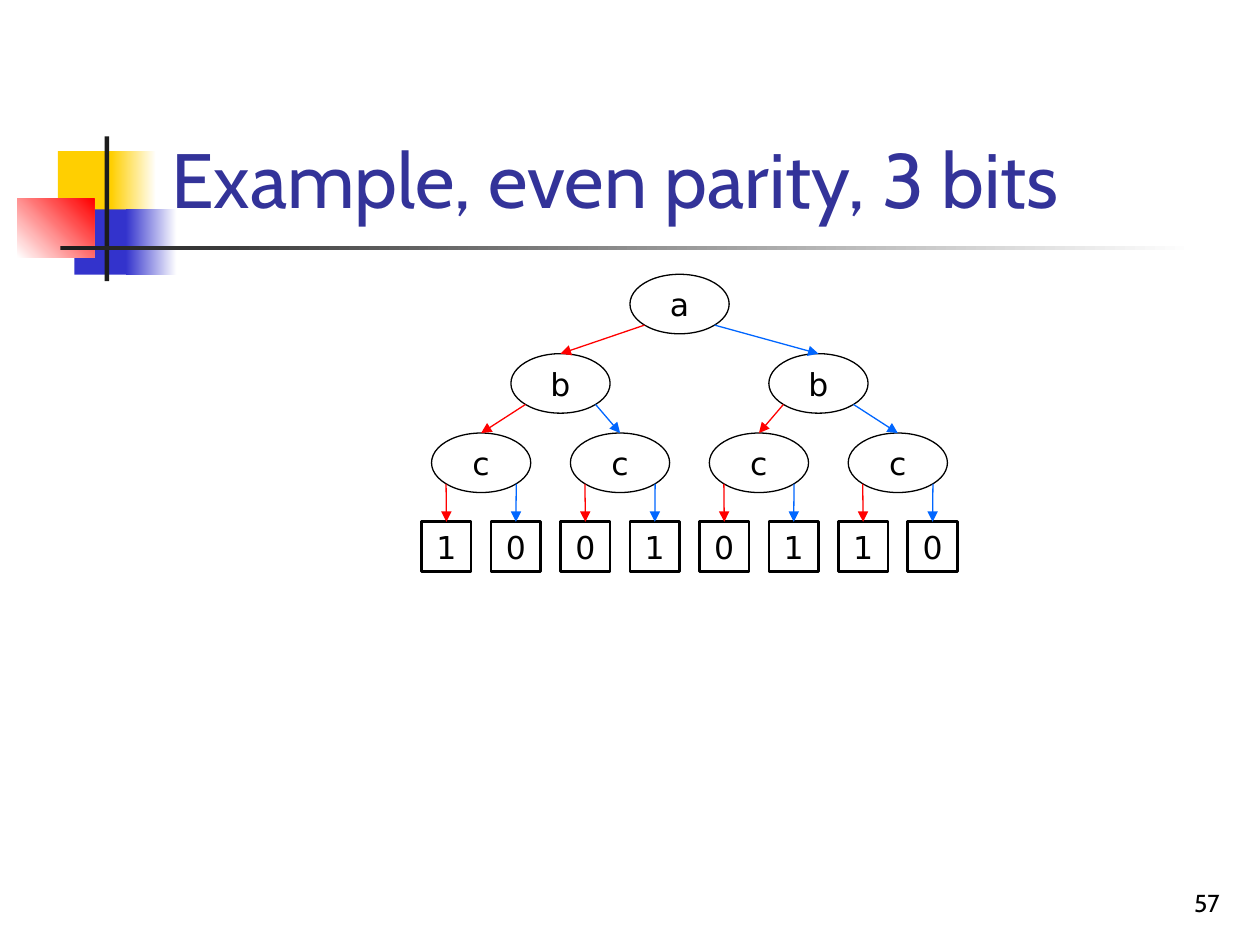
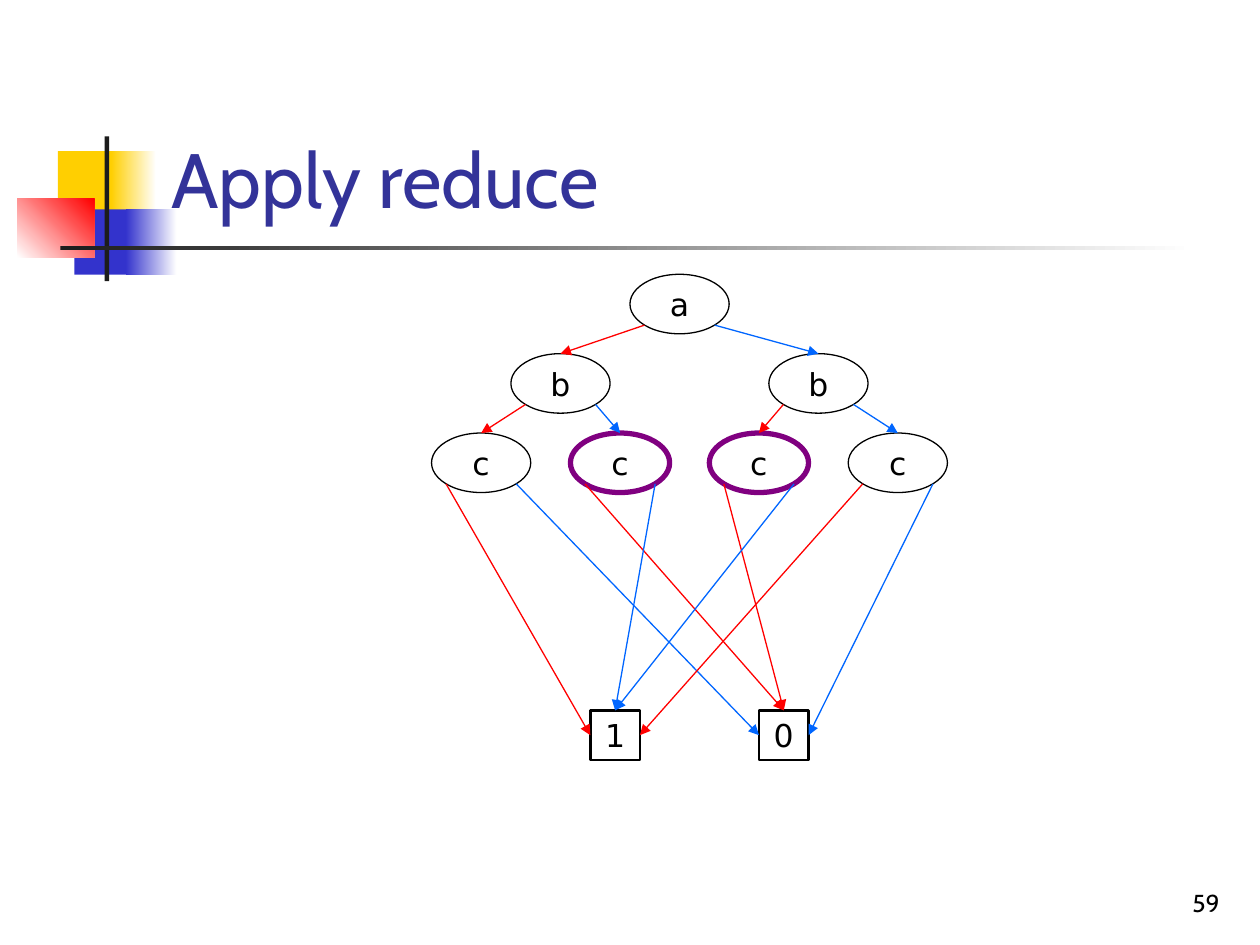
from dataclasses import dataclass
from math import sqrt

from lxml import etree
from pptx import Presentation
from pptx.dml.color import RGBColor
from pptx.enum.shapes import MSO_CONNECTOR, MSO_SHAPE
from pptx.enum.text import MSO_ANCHOR, MSO_AUTO_SIZE, PP_ALIGN
from pptx.oxml.ns import qn
from pptx.util import Cm, Pt

RECT, OVAL = MSO_SHAPE.RECTANGLE, MSO_SHAPE.OVAL
STRAIGHT = MSO_CONNECTOR.STRAIGHT
LEFT, CENTER, RIGHT = PP_ALIGN.LEFT, PP_ALIGN.CENTER, PP_ALIGN.RIGHT
MIDDLE, BOTTOM = MSO_ANCHOR.MIDDLE, MSO_ANCHOR.BOTTOM
TOP_SIDE, LEFT_SIDE, RIGHT_SIDE = 0, 1, 3
TITLE_ONLY = 5


@dataclass(frozen=True)
class Theme:
    title: str = "333399"
    ink: str = "000000"
    bar: str = "1C1C1C"
    yellow: str = "FFCF01"
    blue: str = "3333CC"
    red: str = "FF0000"
    white: str = "FFFFFF"
    low_edge: str = "FF0000"
    high_edge: str = "0066FF"
    redundant: str = "800080"
    title_font: str = "Cabin"
    node_font: str = "DejaVu Sans"
    title_size: int = 44
    node_size: int = 18
    number_size: int = 14
    thin: float = 0.75
    medium: float = 1.5
    thick: float = 3


# Tree measures in centimetres
NODE_W, NODE_H, LEAF = 2, 1.2, 1
LEVEL_TOP, LEVEL_PITCH = 5.53, 1.6
LEVELS = [("a", [13.7]),
          ("b", [11.3, 16.5]),
          ("c", [9.7 + 2.8 * i for i in range(4)])]
PARITY = "10010110"


def rgb(color):
    return RGBColor.from_string(color)


def put_text(tf, text, *, font, size, color, align=LEFT, anchor=MIDDLE, wrap=True):
    tf.word_wrap = wrap
    tf.auto_size = MSO_AUTO_SIZE.NONE
    tf.vertical_anchor = anchor
    p = tf.paragraphs[0]
    p.alignment = align
    r = p.add_run()
    r.text = text
    r.font.name, r.font.size = font, Pt(size)
    r.font.color.rgb = rgb(color)


class Deck:
    def __init__(self, theme):
        self.theme = theme
        self.prs = Presentation()
        self.prs.slide_width, self.prs.slide_height = Cm(25.4), Cm(19.05)
        self.layout = self.prs.slide_layouts[TITLE_ONLY]
        self.s = None

    def slide(self, title, number):
        t = self.theme
        self.s = self.prs.slides.add_slide(self.layout)
        sp = self.s.shapes.title
        sp.left, sp.top, sp.width, sp.height = Cm(3.2), Cm(0.58), Cm(21.64), Cm(4.06)
        put_text(sp.text_frame, title, font=t.title_font, size=t.title_size,
                 color=t.title, anchor=BOTTOM)
        box = self.s.shapes.add_textbox(Cm(19.56), Cm(17.35), Cm(5.28), Cm(1.27))
        put_text(box.text_frame, str(number), font=t.title_font, size=t.number_size,
                 color=t.ink, align=RIGHT, anchor=BOTTOM)

    def shape(self, kind, x, y, w, h):
        sp = self.s.shapes.add_shape(kind, Cm(x), Cm(y), Cm(w), Cm(h))
        sp.shadow.inherit = False
        return sp

    def band(self, x, y, w, h, *colors, angle=0):
        """Draw a block in one colour, or fading between two, on the layout."""
        sp = self.shape(RECT, x, y, w, h)
        sp.line.fill.background()
        if len(colors) == 1:
            sp.fill.solid()
            sp.fill.fore_color.rgb = rgb(colors[0])
        else:
            sp.fill.gradient()
            sp.fill.gradient_angle = angle
            for stop, color in zip(sp.fill.gradient_stops, colors):
                stop.color.rgb = rgb(color)
        self.layout.shapes.element.append(sp.element)

    def bands(self):
        t = self.theme
        self.band(1.17, 3.05, 1.22, 1.32, t.yellow)
        self.band(2.24, 3.05, 0.91, 1.32, t.yellow, t.white)
        self.band(1.5, 4.22, 1.17, 1.32, t.blue)
        self.band(2.54, 4.22, 1.02, 1.32, t.blue, t.white)
        self.band(0.35, 4.01, 1.55, 1.18, t.white, t.red, angle=45)
        self.band(2.11, 2.75, 0.09, 2.92, t.bar)
        self.band(1.22, 4.95, 22.86, 0.09, t.bar, t.white)

    def outlined(self, kind, text, center, top, w, h, color, width):
        t = self.theme
        sp = self.shape(kind, center - w / 2, top, w, h)
        sp.fill.background()
        sp.line.color.rgb, sp.line.width = rgb(color), Pt(width)
        put_text(sp.text_frame, text, font=t.node_font, size=t.node_size,
                 color=t.ink, align=CENTER, wrap=False)
        return sp

    def node(self, text, center, top, marked=False):
        t = self.theme
        color, width = (t.redundant, t.thick) if marked else (t.ink, t.thin)
        return self.outlined(OVAL, text, center, top, NODE_W, NODE_H, color, width)

    def leaf(self, bit, center, top):
        t = self.theme
        return self.outlined(RECT, bit, center, top, LEAF, LEAF, t.ink, t.medium)

    def edge(self, parent, child, high, side=TOP_SIDE):
        """Join a lower corner of an oval to a side of its child."""
        t = self.theme
        reach = (1 if high else -1) / sqrt(2)
        x = parent.left + parent.width / 2 * (1 + reach)
        y = parent.top + parent.height / 2 * (1 + 1 / sqrt(2))
        cxn = self.s.shapes.add_connector(STRAIGHT, int(x), int(y), child.left, child.top)
        cxn.end_connect(child, side)
        cxn.line.color.rgb = rgb(t.high_edge if high else t.low_edge)
        cxn.line.width = Pt(t.thin)
        sp_pr = cxn.element.spPr
        etree.SubElement(sp_pr.find(qn("a:ln")), qn("a:tailEnd"), type="triangle")
        etree.SubElement(sp_pr, qn("a:effectLst"))

    def tree(self, marked=()):
        """Draw the decision levels and return the nodes of the lowest one."""
        parents = []
        for depth, (name, centers) in enumerate(LEVELS):
            top = LEVEL_TOP + depth * LEVEL_PITCH
            nodes = [self.node(name, x, top, (name, i) in marked)
                     for i, x in enumerate(centers)]
            if parents:
                for i, child in enumerate(nodes):
                    self.edge(parents[i // 2], child, high=i % 2)
            parents = nodes
        return parents


def parity_slide(deck):
    deck.slide("Example, even parity, 3 bits", 57)
    deck.bands()
    nodes = deck.tree()
    for i, bit in enumerate(PARITY):
        leaf = deck.leaf(bit, 9 + 1.4 * i, 10.52)
        deck.edge(nodes[i // 2], leaf, high=i % 2)


def reduce_slide(deck):
    deck.slide("Apply reduce", 59)
    nodes = deck.tree(marked={("c", 1), ("c", 2)})
    leaves = {bit: deck.leaf(bit, x, 14.32) for bit, x in (("1", 12.4), ("0", 15.8))}
    sides = [LEFT_SIDE, TOP_SIDE, TOP_SIDE, RIGHT_SIDE]
    for i, bit in enumerate(PARITY):
        deck.edge(nodes[i // 2], leaves[bit], high=i % 2, side=sides[i // 2])


def main():
    deck = Deck(Theme())
    parity_slide(deck)
    reduce_slide(deck)
    deck.prs.save("out.pptx")


if __name__ == "__main__":
    main()
